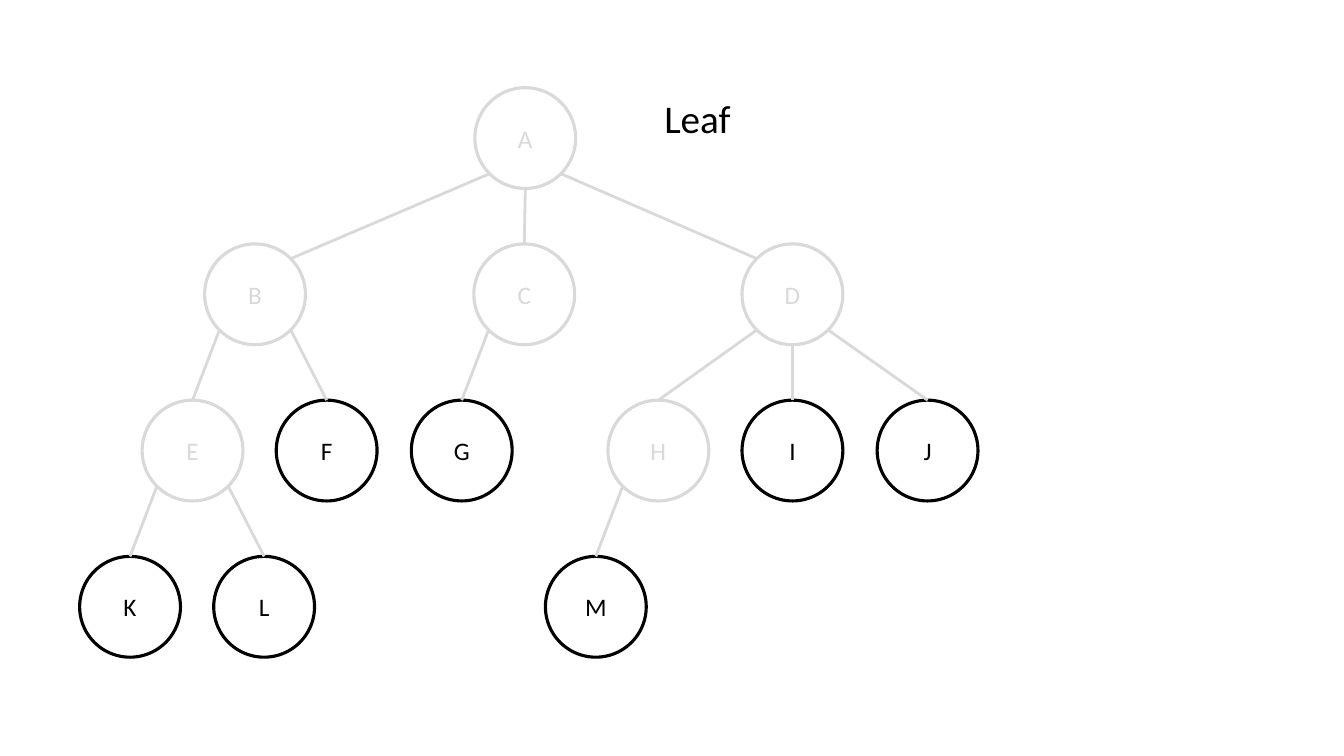
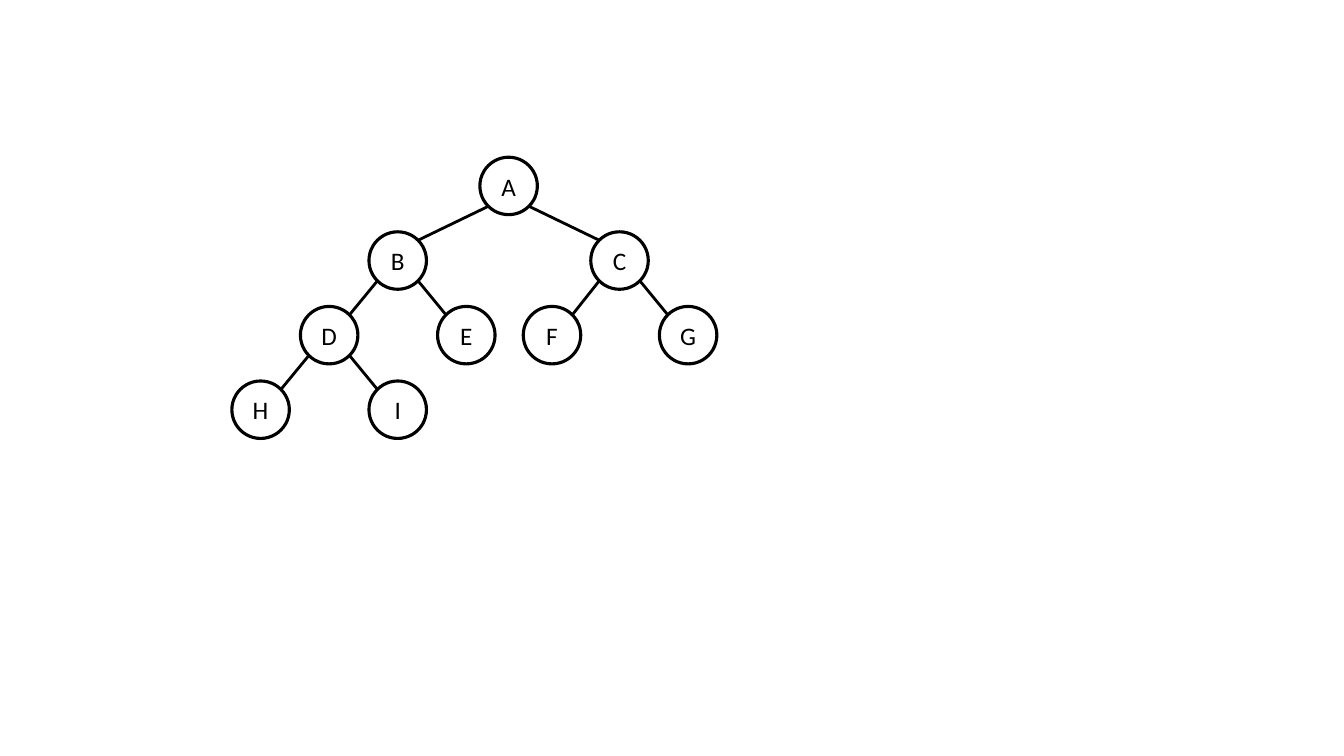
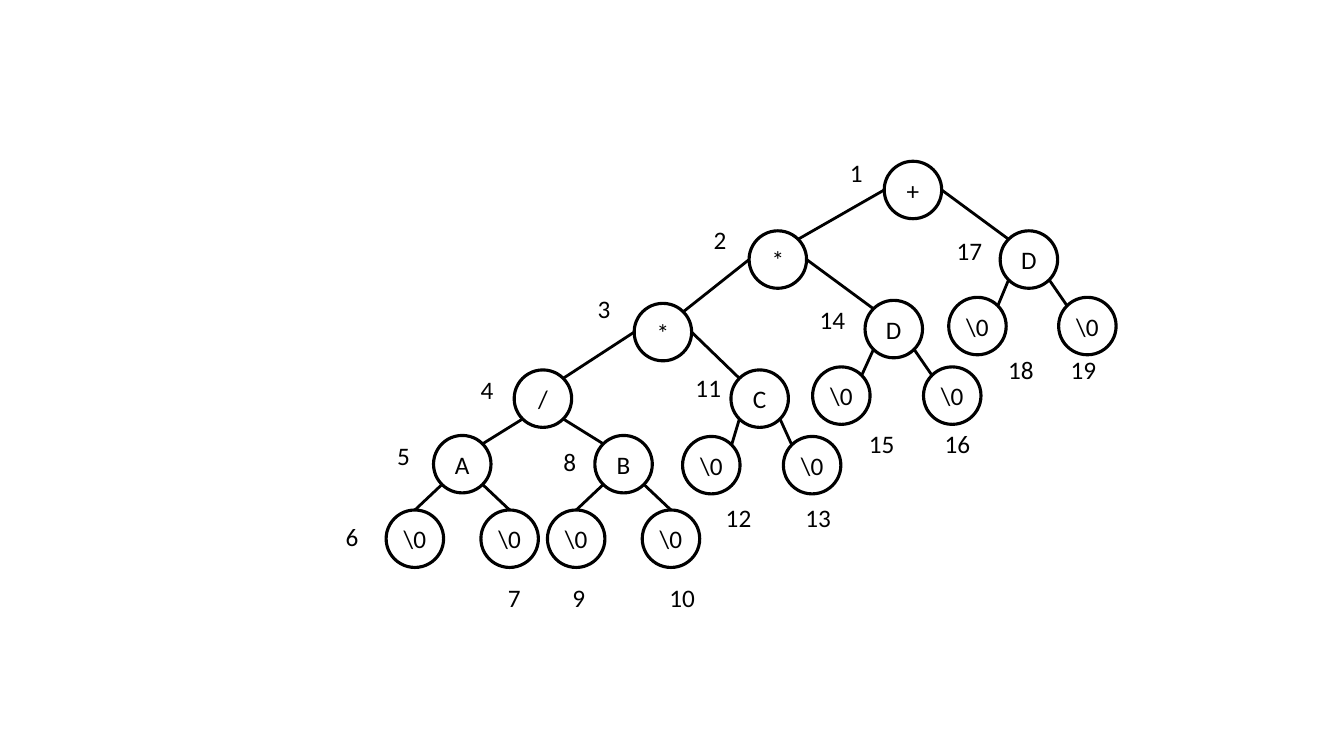
from dataclasses import dataclass
from enum import Enum
from math import sqrt
from typing import NamedTuple

from lxml.etree import SubElement
from pptx import Presentation
from pptx.dml.color import RGBColor
from pptx.enum.shapes import MSO_CONNECTOR, MSO_SHAPE
from pptx.enum.text import MSO_ANCHOR, MSO_AUTO_SIZE, PP_ALIGN
from pptx.oxml.ns import qn
from pptx.slide import Slide
from pptx.text.text import TextFrame
from pptx.util import Inches, Pt

COLORS = {"ink": "000000", "muted": "D9D9D9", "paper": "FFFFFF"}
FONT = "Calibri"
DIAGONAL = 1 / sqrt(2)


class Anchor(Enum):
    TOP = (0, -1)
    BOTTOM = (0, 1)
    LEFT = (-1, 0)
    RIGHT = (1, 0)
    TOP_LEFT = (-DIAGONAL, -DIAGONAL)
    TOP_RIGHT = (DIAGONAL, -DIAGONAL)
    BOTTOM_LEFT = (-DIAGONAL, DIAGONAL)
    BOTTOM_RIGHT = (DIAGONAL, DIAGONAL)


@dataclass(frozen=True)
class Node:
    text: str
    left: float
    top: float
    children: tuple["Node", ...] = ()
    leave_at_side: bool = False
    enter_at_top: bool = False


class TreeStyle(NamedTuple):
    diameter: float
    inner: str = "ink"
    leaf: str = "ink"
    link: str = "ink"


class Label(NamedTuple):
    left: float
    top: float


def rgb(color: str) -> RGBColor:
    return RGBColor.from_string(COLORS[color])


def write_text(frame: TextFrame, text: str, *, size: float = 18, color: str = "ink",
               align: PP_ALIGN = PP_ALIGN.LEFT) -> None:
    paragraph = frame.paragraphs[0]
    paragraph.alignment = align
    run = paragraph.add_run()
    run.text = text
    run.font.name = FONT
    run.font.size = Pt(size)
    run.font.color.rgb = rgb(color)


def draw_label(slide: Slide, text: str, left: float, top: float, width: float,
               height: float, size: float = 18) -> None:
    frame = slide.shapes.add_textbox(
        Inches(left), Inches(top), Inches(width), Inches(height)).text_frame
    frame.word_wrap = False
    frame.auto_size = MSO_AUTO_SIZE.SHAPE_TO_FIT_TEXT
    write_text(frame, text, size=size)


def draw_node(slide: Slide, node: Node, style: TreeStyle) -> None:
    color = style.inner if node.children else style.leaf
    side = Inches(style.diameter)
    circle = slide.shapes.add_shape(
        MSO_SHAPE.OVAL, Inches(node.left), Inches(node.top), side, side)
    circle.shadow.inherit = False
    circle.fill.solid()
    circle.fill.fore_color.rgb = rgb("paper")
    circle.line.color.rgb = rgb(color)
    circle.line.width = Pt(2.25)
    frame = circle.text_frame
    frame.margin_left = frame.margin_right = frame.margin_top = frame.margin_bottom = 0
    frame.vertical_anchor = MSO_ANCHOR.MIDDLE
    write_text(frame, node.text, color=color, align=PP_ALIGN.CENTER)


def anchor_point(node: Node, anchor: Anchor, diameter: float) -> tuple[Inches, Inches]:
    across, down = anchor.value
    radius = diameter / 2
    return (Inches(node.left + radius * (1 + across)),
            Inches(node.top + radius * (1 + down)))


def link_anchors(parent: Node, child: Node) -> tuple[Anchor, Anchor]:
    shift = child.left - parent.left
    if abs(shift) < 0.1:
        return Anchor.BOTTOM, Anchor.TOP
    if shift < 0:
        leave = Anchor.LEFT if parent.leave_at_side else Anchor.BOTTOM_LEFT
        enter = Anchor.TOP_RIGHT
    else:
        leave = Anchor.RIGHT if parent.leave_at_side else Anchor.BOTTOM_RIGHT
        enter = Anchor.TOP_LEFT
    return leave, Anchor.TOP if parent.enter_at_top else enter


def draw_link(slide: Slide, parent: Node, child: Node, style: TreeStyle) -> None:
    leave, enter = link_anchors(parent, child)
    link = slide.shapes.add_connector(
        MSO_CONNECTOR.STRAIGHT,
        *anchor_point(parent, leave, style.diameter),
        *anchor_point(child, enter, style.diameter))
    link.line.color.rgb = rgb(style.link)
    link.line.width = Pt(2)
    SubElement(link._element.spPr, qn("a:effectLst"))


def draw_tree(slide: Slide, node: Node, style: TreeStyle) -> None:
    for child in node.children:
        draw_tree(slide, child, style)
    draw_node(slide, node, style)
    for child in node.children:
        draw_link(slide, node, child, style)


def rows(first: float, step: float) -> list[float]:
    return [first + step * level for level in range(4)]


def general_tree() -> Node:
    root, second, third, fourth = rows(0.87, 1.55)
    e = Node("E", 1.41, third, (Node("K", 0.79, fourth), Node("L", 2.12, fourth)),
             enter_at_top=True)
    h = Node("H", 6.03, third, (Node("M", 5.41, fourth),), enter_at_top=True)
    b = Node("B", 2.03, second, (e, Node("F", 2.74, third)), enter_at_top=True)
    c = Node("C", 4.7, second, (Node("G", 4.08, third),), enter_at_top=True)
    d = Node("D", 7.36, second, (h, Node("I", 7.36, third), Node("J", 8.7, third)),
             enter_at_top=True)
    return Node("A", 4.71, root, (b, c, d))


def binary_tree() -> Node:
    root, second, third, fourth = rows(1.56, 0.74)
    d = Node("D", 2.98, third, (Node("H", 2.3, fourth), Node("I", 3.66, fourth)))
    b = Node("B", 3.66, second, (d, Node("E", 4.34, third)))
    c = Node("C", 5.86, second, (Node("F", 5.19, third), Node("G", 6.54, third)))
    return Node("A", 4.76, root, (b, c))


def operand(text: str, left: float, top: float, shifts: tuple[float, float],
            drop: float = 0.66, enter_at_top: bool = False) -> Node:
    nulls = tuple(Node(r"\0", left + shift, top + drop) for shift in shifts)
    return Node(text, left, top, nulls, enter_at_top=enter_at_top)


def expression_tree() -> Node:
    a, b = (operand(text, left, 4.32, (-0.47, 0.47), 0.74, enter_at_top=True)
            for text, left in (("A", 4.3), ("B", 5.9)))
    c = operand("C", 7.25, 3.67, (-0.48, 0.52))
    inner_d = operand("D", 8.58, 2.98, (-0.52, 0.58))
    outer_d = operand("D", 9.92, 2.29, (-0.51, 0.58))
    quotient = Node("/", 5.1, 3.67, (a, b))
    inner_product = Node("*", 6.29, 3.01, (quotient, c), leave_at_side=True)
    outer_product = Node("*", 7.43, 2.29, (inner_product, inner_d), leave_at_side=True)
    return Node("+", 8.77, 1.6, (outer_product, outer_d), leave_at_side=True)


VISIT_ORDER = [
    Label(8.33, 1.51), Label(6.98, 2.18), Label(5.83, 2.86), Label(4.67, 3.66),
    Label(3.84, 4.32), Label(3.33, 5.12), Label(4.94, 5.73), Label(5.49, 4.38),
    Label(5.58, 5.73), Label(6.54, 5.73), Label(6.8, 3.64), Label(7.1, 4.93),
    Label(7.89, 4.93), Label(8.03, 2.97), Label(8.52, 4.2), Label(9.27, 4.2),
    Label(9.39, 2.29), Label(9.9, 3.47), Label(10.52, 3.47),
]


def main() -> None:
    deck = Presentation()
    deck.slide_width = Inches(13.33)
    deck.slide_height = Inches(7.5)
    blank = deck.slide_layouts[6]
    small = TreeStyle(0.57)

    leaf_slide = deck.slides.add_slide(blank)
    draw_tree(leaf_slide, general_tree(), TreeStyle(1, inner="muted", link="muted"))
    draw_label(leaf_slide, "Leaf", 6.49, 0.89, 0.87, 0.57, size=28)

    draw_tree(deck.slides.add_slide(blank), binary_tree(), small)

    traversal_slide = deck.slides.add_slide(blank)
    draw_tree(traversal_slide, expression_tree(), small)
    for step, label in enumerate(VISIT_ORDER, start=1):
        width = 0.33 if step < 10 else 0.46
        draw_label(traversal_slide, str(step), label.left, label.top, width, 0.4)

    deck.save("out.pptx")


if __name__ == "__main__":
    main()
